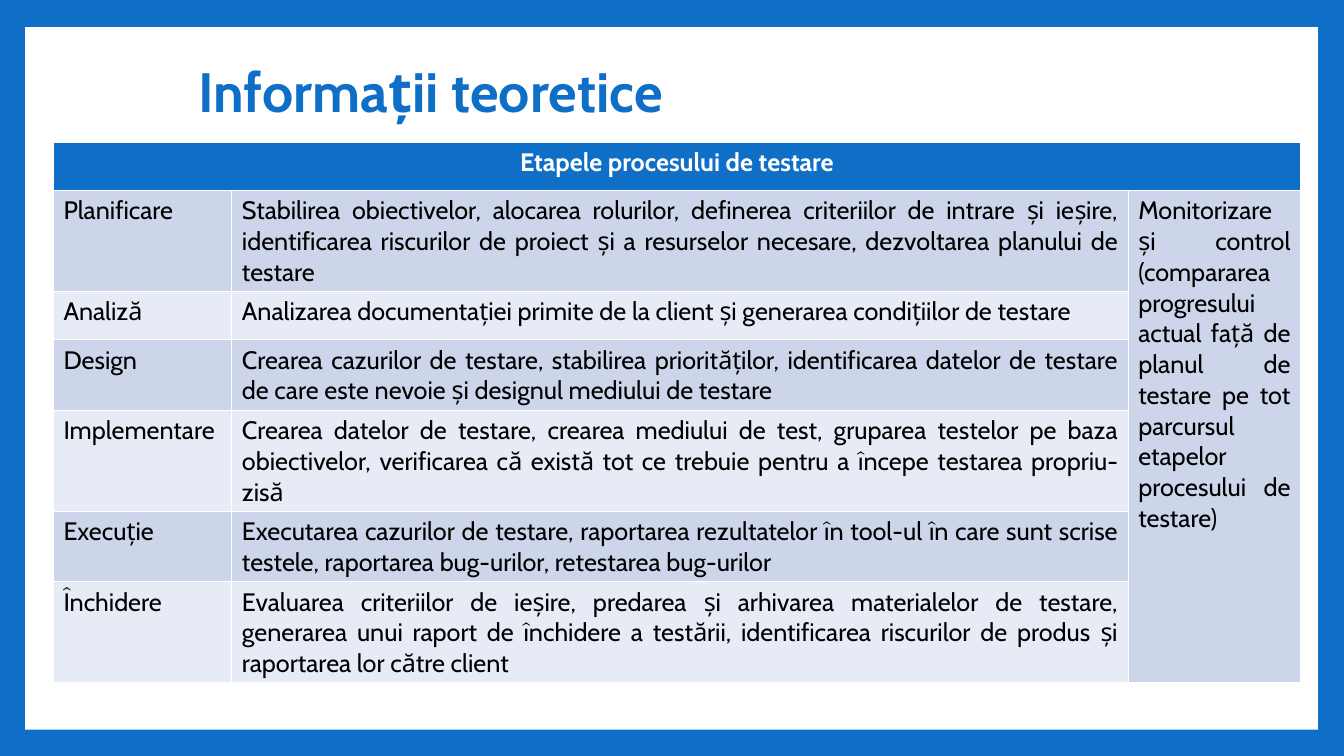
"""Build the slide on the stages of the testing process."""
from dataclasses import dataclass

from pptx import Presentation
from pptx.dml.color import RGBColor as Rgb
from pptx.enum.shapes import MSO_SHAPE as Shape
from pptx.enum.text import MSO_ANCHOR as Anchor, PP_ALIGN as Align
from pptx.slide import Slide
from pptx.table import _Cell as Cell
from pptx.text.text import _Paragraph as Para
from pptx.util import Emu, Pt

SCALE = 9144


@dataclass(frozen=True)
class Theme:
    blue: str = "0F6FC6"
    white: str = "FFFFFF"
    black: str = "000000"
    bands: tuple[str, str] = ("CCD5EA", "E7EBF5")
    font: str = "Cabin"
    title: float = 39.6
    body: float = 18


@dataclass(frozen=True)
class Box:
    left: int
    top: int
    width: int
    height: int

    def emu(self) -> tuple[Emu, ...]:
        return tuple(px(n) for n in (self.left, self.top, self.width, self.height))


@dataclass(frozen=True)
class Stage:
    name: str
    text: str


THEME = Theme()
PANEL = Box(25, 27, 1282, 697)
TITLE = Box(187, 67, 1080, 54)
GRID = Box(53, 141, 1237, 336)
COLS = (177, 889, 171)
ROW = 48
HEAD = "Etapele procesului de testare"
CONTROL = (
    "Monitorizare și control (compararea progresului actual față de planul de "
    "testare pe tot parcursul etapelor procesului de testare)"
)
STAGES = (
    Stage("Planificare",
          "Stabilirea obiectivelor, alocarea rolurilor, definerea criteriilor de "
          "intrare și ieșire, identificarea riscurilor de proiect și a resurselor "
          "necesare, dezvoltarea planului de testare"),
    Stage("Analiză",
          "Analizarea documentației primite de la client și generarea condițiilor "
          "de testare"),
    Stage("Design",
          "Crearea cazurilor de testare, stabilirea priorităților, identificarea "
          "datelor de testare de care este nevoie și designul mediului de testare"),
    Stage("Implementare",
          "Crearea datelor de testare, crearea mediului de test, gruparea testelor "
          "pe baza obiectivelor, verificarea că există tot ce trebuie pentru a "
          "începe testarea propriu-zisă"),
    Stage("Execuție",
          "Executarea cazurilor de testare, raportarea rezultatelor în tool-ul în "
          "care sunt scrise testele, raportarea bug-urilor, retestarea bug-urilor"),
    Stage("Închidere",
          "Evaluarea criteriilor de ieșire, predarea și arhivarea materialelor de "
          "testare, generarea unui raport de închidere a testării, identificarea "
          "riscurilor de produs și raportarea lor către client"),
)


def px(n: int) -> Emu:
    return Emu(n * SCALE)


def write(para: Para, text: str, size: float, color: str, bold: bool = False) -> None:
    run = para.add_run()
    run.text = text
    font = run.font
    font.name, font.size, font.bold = THEME.font, Pt(size), bold
    font.color.rgb = Rgb.from_string(color)


def fill(cell: Cell, text: str, back: str, align: Align,
         color: str = THEME.black, bold: bool = False) -> None:
    cell.fill.solid()
    cell.fill.fore_color.rgb = Rgb.from_string(back)
    para = cell.text_frame.paragraphs[0]
    para.alignment = align
    write(para, text, THEME.body, color, bold)


def draw_panel(slide: Slide) -> None:
    back = slide.background.fill
    back.solid()
    back.fore_color.rgb = Rgb.from_string(THEME.blue)
    panel = slide.shapes.add_shape(Shape.RECTANGLE, *PANEL.emu())
    panel.shadow.inherit = False
    panel.fill.solid()
    panel.fill.fore_color.rgb = Rgb.from_string(THEME.white)
    panel.line.fill.background()


def draw_title(slide: Slide) -> None:
    frame = slide.shapes.add_textbox(*TITLE.emu()).text_frame
    frame.word_wrap = True
    frame.vertical_anchor = Anchor.MIDDLE
    para = frame.paragraphs[0]
    para.line_spacing = 0.9
    write(para, "Informații teoretice", THEME.title, THEME.blue, True)


def draw_table(slide: Slide) -> None:
    count = len(STAGES) + 1
    table = slide.shapes.add_table(count, len(COLS), *GRID.emu()).table
    for col, width in zip(table.columns, COLS):
        col.width = px(width)
    for row in table.rows:
        row.height = px(ROW)
    table.cell(0, 0).merge(table.cell(0, 2))
    table.cell(1, 2).merge(table.cell(count - 1, 2))
    fill(table.cell(0, 0), HEAD, THEME.blue, Align.CENTER, THEME.white, True)
    fill(table.cell(1, 2), CONTROL, THEME.bands[0], Align.JUSTIFY)
    for i, stage in enumerate(STAGES):
        band = THEME.bands[i % 2]
        fill(table.cell(i + 1, 0), stage.name, band, Align.LEFT)
        fill(table.cell(i + 1, 1), stage.text, band, Align.JUSTIFY)


def main() -> None:
    deck = Presentation()
    deck.slide_width, deck.slide_height = px(1333), px(750)
    slide = deck.slides.add_slide(deck.slide_layouts[6])
    draw_panel(slide)
    draw_title(slide)
    draw_table(slide)
    deck.save("out.pptx")


if __name__ == "__main__":
    main()
